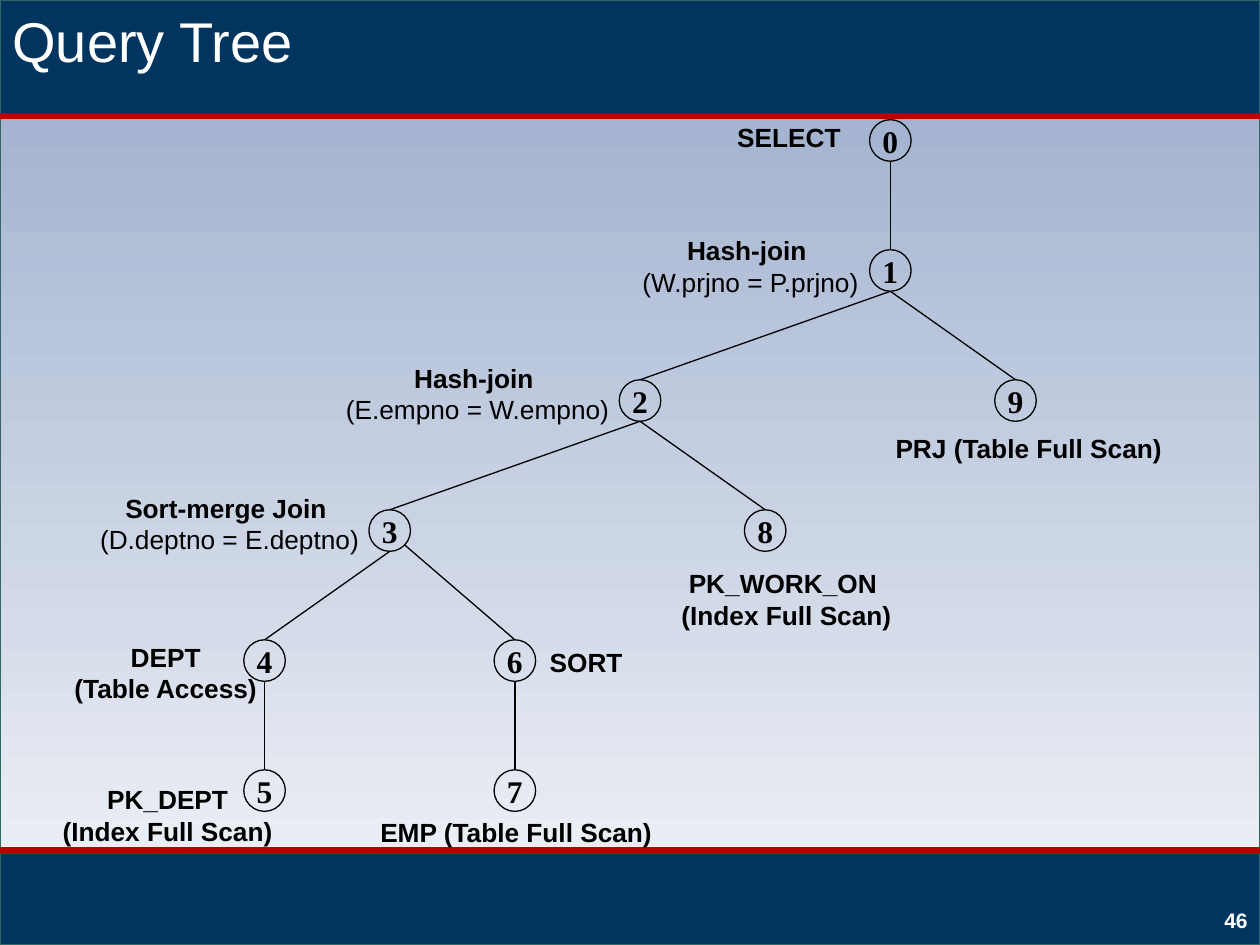
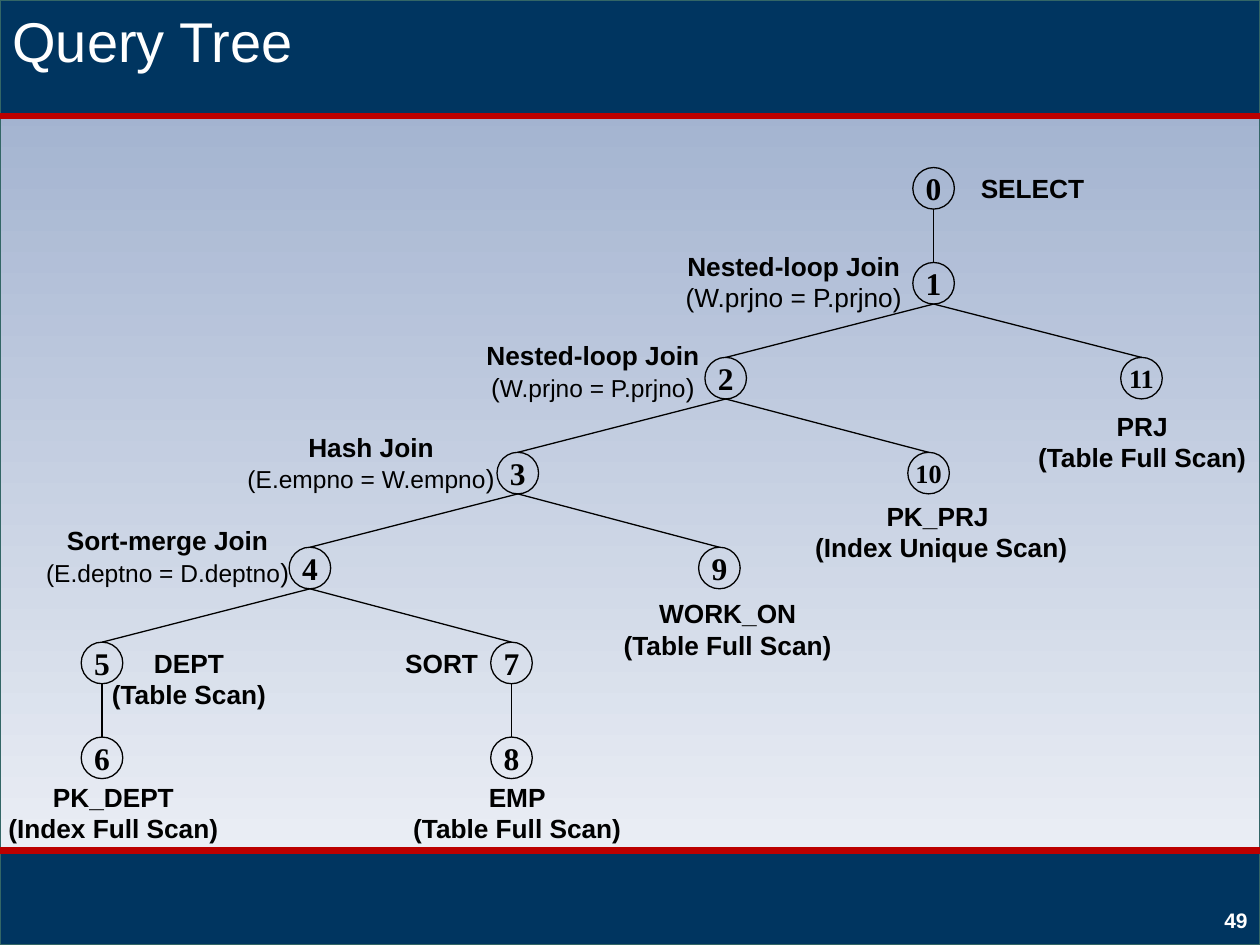
from dataclasses import dataclass
from typing import Optional

from lxml.etree import SubElement
from pptx import Presentation
from pptx.dml.color import RGBColor
from pptx.enum.shapes import MSO_CONNECTOR as CONNECTOR
from pptx.enum.shapes import MSO_SHAPE as SHAPE
from pptx.enum.text import MSO_ANCHOR as ANCHOR
from pptx.enum.text import PP_ALIGN as ALIGN
from pptx.oxml.ns import qn
from pptx.util import Inches, Pt

NAVY = RGBColor(0x00, 0x35, 0x60)
RED = RGBColor(0xBC, 0x00, 0x00)
TEAL = RGBColor(0x33, 0x66, 0x66)
SKY = RGBColor(0x99, 0xAB, 0xCB)
MIST = RGBColor(0xF3, 0xF5, 0xF9)
WHITE = RGBColor(0xFF, 0xFF, 0xFF)
BLACK = RGBColor(0x00, 0x00, 0x00)

SANS, SERIF = "Arial", "Times New Roman"
WIDTH, HEIGHT = 10, 7.5
HEADER_BOTTOM, FOOTER_TOP = 0.92, 6.75
NODE_SIZE = 0.33


@dataclass
class Box:
    left: float
    top: float
    width: float
    height: float

    def lengths(self):
        return [Inches(v) for v in (self.left, self.top, self.width, self.height)]


@dataclass
class Node:
    """One step of the plan; label_at is measured from the node's top centre."""
    parent: Optional[int]
    x: float
    label_at: tuple
    label_width: float
    lines: list
    starts_at_corner: bool = False


def bold(text):
    return [(text, 15, True)]


def plain(text, size=15):
    return [(text, size, False)]


def bold_lines(*texts):
    return [bold(text) for text in texts]


def add_run(paragraph, text, size, is_bold, color=BLACK, font=SANS):
    run = paragraph.add_run()
    run.text = text
    run.font.name, run.font.size, run.font.bold = font, Pt(size), is_bold
    run.font.color.rgb = color


def add_text_box(slide, box, lines, align, color=BLACK, anchor=ANCHOR.TOP, wrap=False):
    frame = slide.shapes.add_textbox(*box.lengths()).text_frame
    frame.word_wrap, frame.vertical_anchor = wrap, anchor
    for index, line in enumerate(lines):
        paragraph = frame.add_paragraph() if index else frame.paragraphs[0]
        paragraph.alignment = align
        for text, size, is_bold in line:
            add_run(paragraph, text, size, is_bold, color)


def add_outlined(slide, kind, box, line_color):
    shape = slide.shapes.add_shape(kind, *box.lengths())
    shape.shadow.inherit = False
    shape.line.color.rgb, shape.line.width = line_color, Pt(0.75)
    return shape


def add_line(slide, start, end, color=BLACK, width=0.75):
    ends = [Inches(value) for value in (*start, *end)]
    connector = slide.shapes.add_connector(CONNECTOR.STRAIGHT, *ends)
    connector.line.color.rgb, connector.line.width = color, Pt(width)
    SubElement(connector._element.spPr, qn("a:effectLst"))


def add_background(slide, box):
    fill = add_outlined(slide, SHAPE.RECTANGLE, box, TEAL).fill
    fill.gradient()
    fill.gradient_angle = 270
    for stop, color, position in zip(fill.gradient_stops, (SKY, MIST), (0, 1)):
        stop.color.rgb, stop.position = color, position


def add_band(slide, box, rule_y):
    band = add_outlined(slide, SHAPE.RECTANGLE, box, TEAL)
    band.fill.solid()
    band.fill.fore_color.rgb = NAVY
    add_line(slide, (box.left, rule_y), (box.left + box.width, rule_y), RED, 3.75)


def add_frame(slide, title, page_number):
    """Draw the background, bands, title and page number."""
    header = Box(0, 0, WIDTH, HEADER_BOTTOM)
    footer = Box(0, FOOTER_TOP, WIDTH, HEIGHT - FOOTER_TOP)
    add_background(slide, Box(0, 0, WIDTH, HEIGHT))
    add_band(slide, footer, FOOTER_TOP)
    add_band(slide, header, HEADER_BOTTOM)
    add_text_box(slide, header, [[(title, 32, False)]], ALIGN.LEFT, WHITE, wrap=True)
    add_text_box(slide, Box(WIDTH - 2.25, HEIGHT - 0.4, 2.25, 0.4),
                 [[(str(page_number), 12, True)]], ALIGN.RIGHT, WHITE, ANCHOR.MIDDLE, True)


def add_node(slide, number, center, top):
    box = Box(center - NODE_SIZE / 2, top, NODE_SIZE, NODE_SIZE)
    circle = add_outlined(slide, SHAPE.OVAL, box, BLACK)
    circle.fill.background()
    frame = circle.text_frame
    frame.margin_left = frame.margin_right = frame.margin_top = frame.margin_bottom = 0
    frame.word_wrap, frame.vertical_anchor = False, ANCHOR.MIDDLE
    paragraph = frame.paragraphs[0]
    paragraph.alignment = ALIGN.CENTER
    add_run(paragraph, str(number), 18 if number < 10 else 15, True, font=SERIF)


def add_tree(slide, box, nodes):
    """Number the nodes in order; each one sits a level below its parent."""
    levels = []
    for node in nodes:
        levels.append(0 if node.parent is None else levels[node.parent] + 1)
    row_gap = (box.height - NODE_SIZE) / max(levels)
    spots = [(box.left + node.x, box.top + level * row_gap)
             for node, level in zip(nodes, levels)]

    for number, (node, (center, top)) in enumerate(zip(nodes, spots)):
        add_node(slide, number, center, top)
        if node.parent is not None:
            parent_center, parent_top = spots[node.parent]
            start = (parent_center, parent_top + NODE_SIZE)
            if node.starts_at_corner:
                start = (start[0] + 0.12, start[1] - 0.05)
            add_line(slide, start, (center, top))
        dx, dy = node.label_at
        label = Box(center + dx, top + dy, node.label_width,
                    0.35 if len(node.lines) == 1 else 0.61)
        add_text_box(slide, label, node.lines, ALIGN.CENTER)


def hash_join_plan(width):
    column = [width * index / 6 for index in range(7)]
    return [
        Node(None, column[5], (-1.32, -0.04), 1.03, bold_lines("SELECT")),
        Node(0, column[5], (-2.08, -0.17), 1.94,
             [bold("Hash-join "), plain("(W.prjno = P.prjno)")]),
        Node(1, column[3], (-2.49, -0.19), 2.4,
             [bold("Hash-join "), plain("(E.empno = W.empno)")]),
        Node(2, column[1], (-2.47, -0.19), 2.34,
             [bold("Sort-merge Join"), plain(" (D.deptno = E.deptno)")]),
        Node(3, column[0], (-1.62, -0.04), 1.67, bold_lines("DEPT", "(Table Access)")),
        Node(4, column[0], (-1.71, 0.06), 1.88, bold_lines("PK_DEPT", "(Index Full Scan)")),
        Node(3, column[2], (0.17, 0), 0.79, bold_lines("SORT"), starts_at_corner=True),
        Node(6, column[2], (-1.18, 0.32), 2.38, bold_lines("EMP (Table Full Scan)")),
        Node(2, column[4], (-0.83, 0.41), 1.94,
             bold_lines("PK_WORK_ON", " (Index Full Scan)")),
        Node(1, column[6], (-1.06, 0.37), 2.33, bold_lines("PRJ (Table Full Scan)")),
    ]


def nested_loop_plan():
    join = [1.65 * index for index in range(5)]
    return [
        Node(None, join[4], (0.27, -0.01), 1.03, bold_lines("SELECT")),
        Node(0, join[4], (-2.08, -0.15), 1.94,
             [bold("Nested-loop Join"), plain("(W.prjno = P.prjno)")]),
        Node(1, join[3], (-2.01, -0.19), 1.91,
             [bold("Nested-loop Join"),
              plain("(") + plain("W.prjno = P.prjno", 14) + plain(")")]),
        Node(2, join[2], (-2.25, -0.22), 2.17,
             [bold("Hash Join"), plain("(E.empno = W.empno", 14) + plain(")")]),
        Node(3, join[1], (-2.2, -0.23), 2.14,
             [bold("Sort-merge Join"), plain("(E.deptno = D.deptno", 14) + plain(")")]),
        Node(4, join[0], (-0.03, -0.01), 1.44, bold_lines("DEPT", "(Table Scan)")),
        Node(5, join[0], (-0.85, 0.3), 1.88, bold_lines("PK_DEPT", "(Index Full Scan)")),
        Node(4, 3.25, (-0.95, -0.01), 0.79, bold_lines("SORT")),
        Node(7, 3.25, (-0.89, 0.3), 1.87, bold_lines("EMP", "(Table Full Scan)")),
        Node(3, 4.9, (-0.87, 0.35), 1.87, bold_lines("WORK_ON", "(Table Full Scan)")),
        Node(2, 6.56, (-1.01, 0.33), 2.22, bold_lines("PK_PRJ ", "(Index Unique Scan)")),
        Node(1, 8.25, (-0.93, 0.37), 1.87, bold_lines("PRJ", "(Table Full Scan)")),
    ]


def main():
    presentation = Presentation()
    presentation.slide_width, presentation.slide_height = Inches(WIDTH), Inches(HEIGHT)
    hash_box = Box(2.1, 0.95, 5.96, 5.49)
    nested_box = Box(0.81, 1.33, 8.25, 4.85)
    for page_number, box, nodes in (
        (46, hash_box, hash_join_plan(hash_box.width)),
        (49, nested_box, nested_loop_plan()),
    ):
        slide = presentation.slides.add_slide(presentation.slide_layouts[6])
        add_frame(slide, "Query Tree", page_number)
        add_tree(slide, box, nodes)
    presentation.save("out.pptx")


if __name__ == "__main__":
    main()
